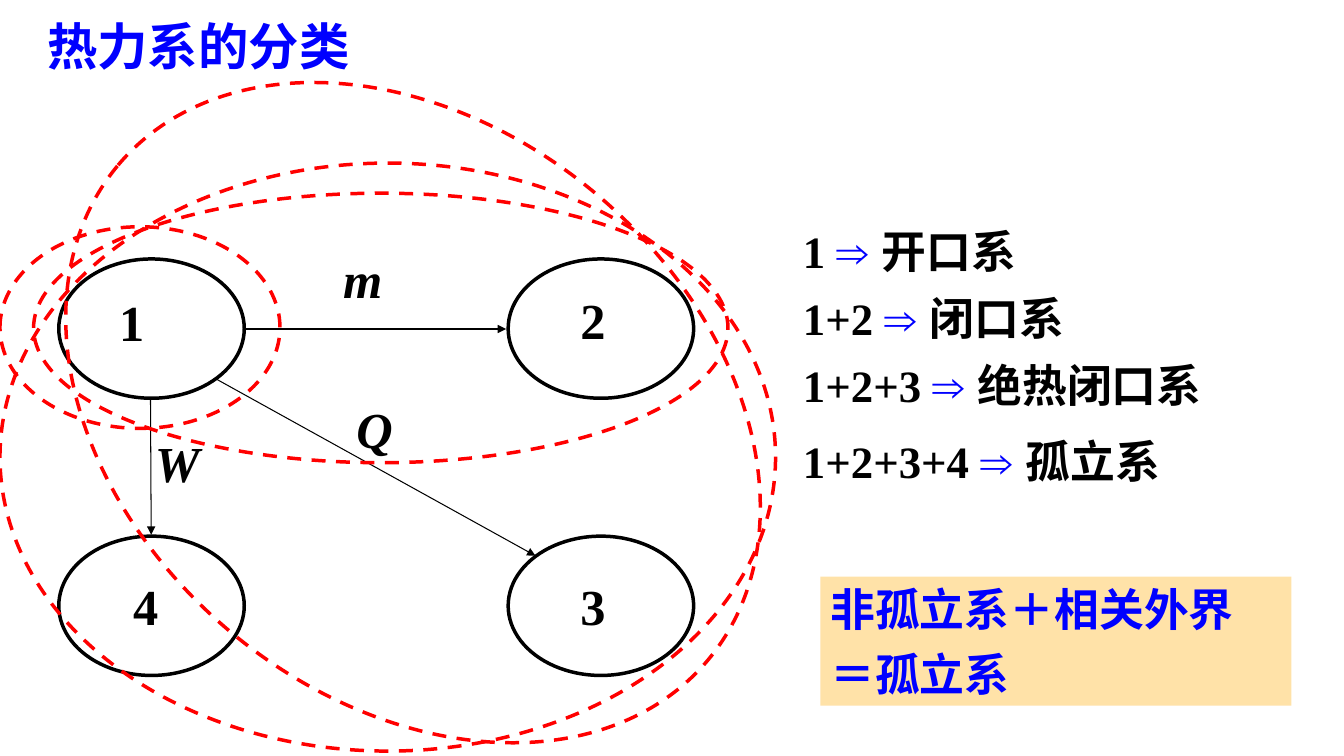
import pptx
import pptx.util
import pptx.dml.color
import pptx.enum.dml
import pptx.enum.shapes
import pptx.enum.text
import pptx.oxml
import pptx.oxml.ns

Pt = pptx.util.Pt
COLOURS = {"black": "000000", "white": "FFFFFF", "blue": "0000FF",
           "red": "FF0000", "sand": "FFCC66"}
SERIF = "Times New Roman"
SANS = "Arial"

TITLE = "热力系的分类"
BODY_LEFTS = (42, 363)
BODY_TOPS = (185, 383)
BODY_SIZE = (132.5, 99.5)
ARROWS = [(175, 235, 361.5, 235), (107.5, 285, 108, 382), (154, 270.5, 382.5, 397)]
NUMBERS = [("1", 78, 204.5), ("2", 407.5, 203), ("3", 407.5, 407), ("4", 88, 407)]
FLOWS = [("m", 238, 173.5, 42.5), ("Q", 247.5, 281, 40), ("W", 103.5, 305, 46)]
BOUNDARIES = [(0, 162, 200, 144, 0), (24, 138, 496, 192.5, 0),
              (20, 91, 550, 407.5, 40), (0, 116.5, 554, 420, 0)]
SYSTEMS = [("1", "开口系", 156), ("1+2", "闭口系", 204),
           ("1+2+3", "绝热闭口系", 252), ("1+2+3+4", "孤立系", 306)]
CONCLUSION = ["非孤立系＋相关外界", "＝孤立系"]

deck = pptx.Presentation()
deck.slide_width, deck.slide_height = Pt(960), Pt(540)
page = deck.slides.add_slide(deck.slide_layouts[6])


def colour(name):
    return pptx.dml.color.RGBColor.from_string(COLOURS[name])


def add_format(target, values):
    for name, value in values.items():
        setattr(target, name, value)


def paint(shape, fill):
    shape.fill.solid()
    shape.fill.fore_color.rgb = colour(fill)


def add_ellipse(place, line, fill=None, dash=None, rotation=0):
    ellipse = page.shapes.add_shape(pptx.enum.shapes.MSO_SHAPE.OVAL, *map(Pt, place))
    ellipse.shadow.inherit = False
    ellipse.rotation = rotation
    if fill:
        paint(ellipse, fill)
    else:
        ellipse.fill.background()
    ellipse.line.color.rgb = colour(line)
    add_format(ellipse.line, {"width": Pt(2.5), "dash_style": dash})


def add_text(place, paragraphs, size, wrap=True, fill=None, italic=None, gap=0,
             anchor=pptx.enum.text.MSO_ANCHOR.TOP):
    box = page.shapes.add_textbox(*map(Pt, place))
    if fill:
        paint(box, fill)
    frame = box.text_frame
    add_format(frame, {"word_wrap": wrap, "vertical_anchor": anchor})
    for index, spans in enumerate(paragraphs):
        para = frame.add_paragraph() if index else frame.paragraphs[0]
        if index:
            para.space_before = Pt(gap)
        for text, font, tint in spans:
            span = para.add_run()
            span.text = text
            add_format(span.font, {"name": font, "size": Pt(size),
                                   "bold": True, "italic": italic})
            span.font.color.rgb = colour(tint)
    return box


def add_arrow(ends):
    arrow = page.shapes.add_connector(
        pptx.enum.shapes.MSO_CONNECTOR.STRAIGHT, *map(Pt, ends))
    arrow.line.color.rgb = colour("black")
    arrow.line.width = Pt(0.75)
    head = pptx.oxml.parse_xml(
        f'<a:tailEnd {pptx.oxml.ns.nsdecls("a")} type="triangle"/>')
    arrow.line._get_or_add_ln().append(head)
    effects = pptx.oxml.parse_xml(f'<a:effectLst {pptx.oxml.ns.nsdecls("a")}/>')
    arrow._element.spPr.append(effects)


for top in BODY_TOPS:
    for left in BODY_LEFTS:
        add_ellipse((left, top, *BODY_SIZE), "black", "white")
for ends in ARROWS:
    add_arrow(ends)
for number, left, top in NUMBERS:
    add_text((left, top, 32.5, 50.5), [[(number, SERIF, "black")]], 36,
             wrap=False, fill="white")
for letter, left, top, width in FLOWS:
    add_text((left, top, width, 50.5), [[(letter, SERIF, "black")]], 36,
             wrap=False, italic=True)

add_text((26.5, 0, 336, 65), [[(TITLE, SANS, "blue")]], 36,
         anchor=pptx.enum.text.MSO_ANCHOR.MIDDLE)

conclusion = add_text((586, 412, 336.5, 92),
                      [[(text, SERIF, "blue")] for text in CONCLUSION],
                      32, fill="sand", gap=8)
tint = conclusion._element.spPr.find(".//" + pptx.oxml.ns.qn("a:srgbClr"))
tint.append(pptx.oxml.parse_xml(
    f'<a:alpha {pptx.oxml.ns.nsdecls("a")} val="57000"/>'))

for left, top, width, height, rotation in BOUNDARIES:
    add_ellipse((left, top, width, height), "red",
                dash=pptx.enum.dml.MSO_LINE.DASH, rotation=rotation)
for bodies, system, top in SYSTEMS:
    spans = [(bodies + " ", SERIF, "black"), ("⇒ ", SANS, "blue"),
             (system, SERIF, "black")]
    add_text((566.5, top, 390, 46), [spans], 32)

deck.save("out.pptx")
